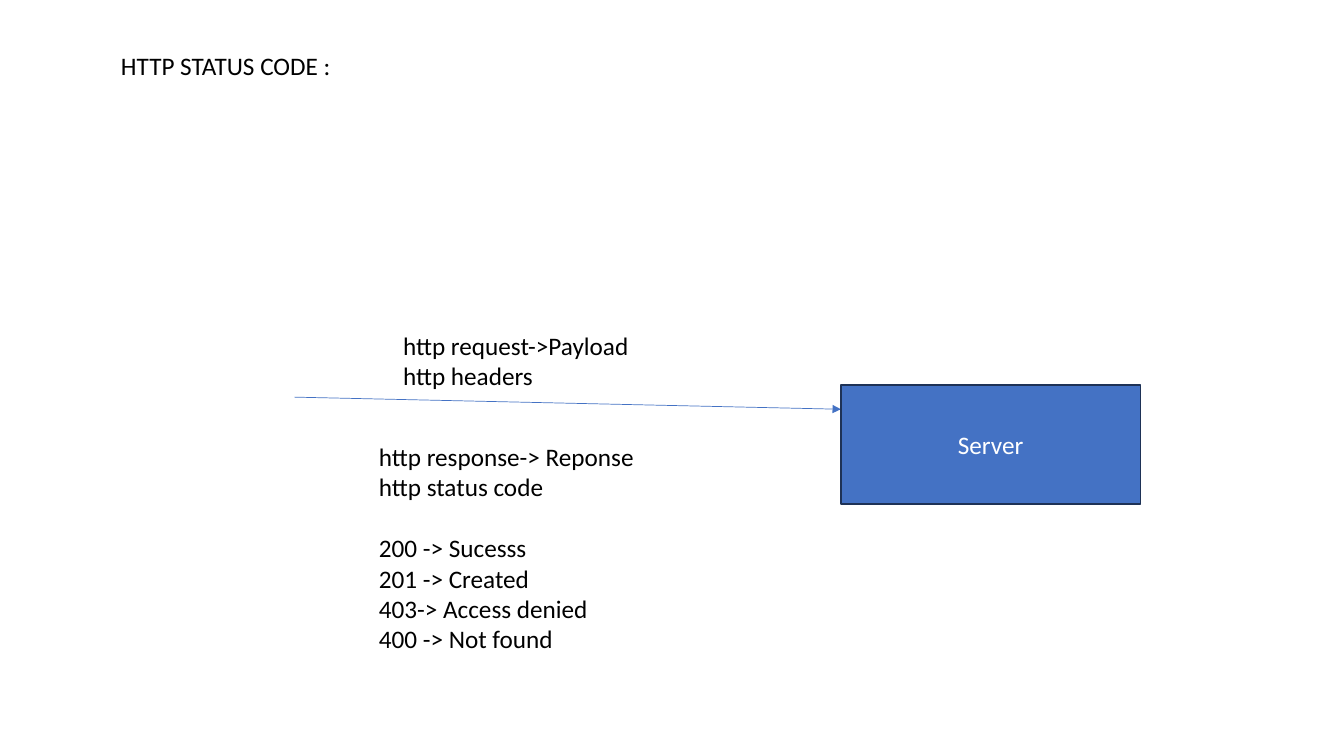
from lxml.etree import SubElement
from pptx import Presentation
from pptx.dml.color import RGBColor
from pptx.enum.shapes import MSO_CONNECTOR as Connector, MSO_SHAPE as Preset
from pptx.enum.text import MSO_ANCHOR as Anchor, MSO_AUTO_SIZE as AutoSize, PP_ALIGN as Align
from pptx.oxml.ns import qn
from pptx.util import Inches, Pt


def colour(value):
    return RGBColor.from_string(value)


class StatusPage:
    font = "Calibri"
    size = 18
    ink = "000000"
    blue = "4472C4"
    navy = "1E3256"
    white = "FFFFFF"
    line_height = 22

    def __init__(self, deck):
        self.page = deck.slides.add_slide(deck.slide_layouts[5])

    def format_text(self, frame, ink, align=Align.LEFT, anchor=Anchor.TOP):
        frame.word_wrap = True
        frame.vertical_anchor = anchor
        for para in frame.paragraphs:
            para.alignment = align
            for span in para.runs:
                span.font.name = self.font
                span.font.size = Pt(self.size)
                span.font.color.rgb = colour(ink)

    def title(self, text, left, top, width, height):
        box = self.page.shapes.title
        box.left, box.top = Inches(left), Inches(top)
        box.width, box.height = Inches(width), Inches(height)
        box.text_frame.text = text
        box.text_frame.auto_size = AutoSize.NONE
        self.format_text(box.text_frame, self.ink)

    def text(self, groups, left, top, width, height):
        box = self.page.shapes.add_textbox(
            Inches(left), Inches(top), Inches(width), Inches(height))
        frame = box.text_frame
        frame.text = "\n".join(line for group in groups for line in group)
        frame.auto_size = AutoSize.SHAPE_TO_FIT_TEXT
        self.format_text(frame, self.ink)
        first = 0
        for group in groups[:-1]:
            first += len(group)
            frame.paragraphs[first].space_before = Pt(self.line_height)

    def rectangle(self, text, left, top, width, height):
        box = self.page.shapes.add_shape(
            Preset.RECTANGLE, Inches(left), Inches(top), Inches(width), Inches(height))
        box.shadow.inherit = False
        box.fill.solid()
        box.fill.fore_color.rgb = colour(self.blue)
        box.line.color.rgb = colour(self.navy)
        box.line.width = Pt(1)
        box.text_frame.text = text
        self.format_text(box.text_frame, self.white, Align.CENTER, Anchor.MIDDLE)

    def arrow(self, start_x, start_y, end_x, end_y):
        arrow = self.page.shapes.add_connector(
            Connector.STRAIGHT, Inches(start_x), Inches(start_y), Inches(end_x), Inches(end_y))
        arrow.line.color.rgb = colour(self.blue)
        arrow.line.width = Pt(0.5)
        SubElement(arrow.line._get_or_add_ln(), qn("a:tailEnd"), type="triangle")
        SubElement(arrow._element.spPr, qn("a:effectLst"))


def main():
    deck = Presentation()
    deck.slide_width, deck.slide_height = Inches(13.33), Inches(7.5)
    page = StatusPage(deck)
    page.title("HTTP STATUS CODE :", 1.1, 0.45, 11.05, 1.31)
    page.arrow(2.92, 3.94, 8.34, 4.06)
    page.rectangle("Server", 8.34, 3.82, 2.97, 1.18)
    page.text([["http request->Payload", "http headers"]], 3.9, 3.23, 4.57, 0.71)
    page.text([
        ["http response-> Reponse", "http status code"],
        ["200 -> Sucesss", "201 -> Created", "403-> Access denied", "400 -> Not found"],
    ], 3.66, 4.33, 4.57, 2.22)
    deck.save("out.pptx")


if __name__ == "__main__":
    main()
